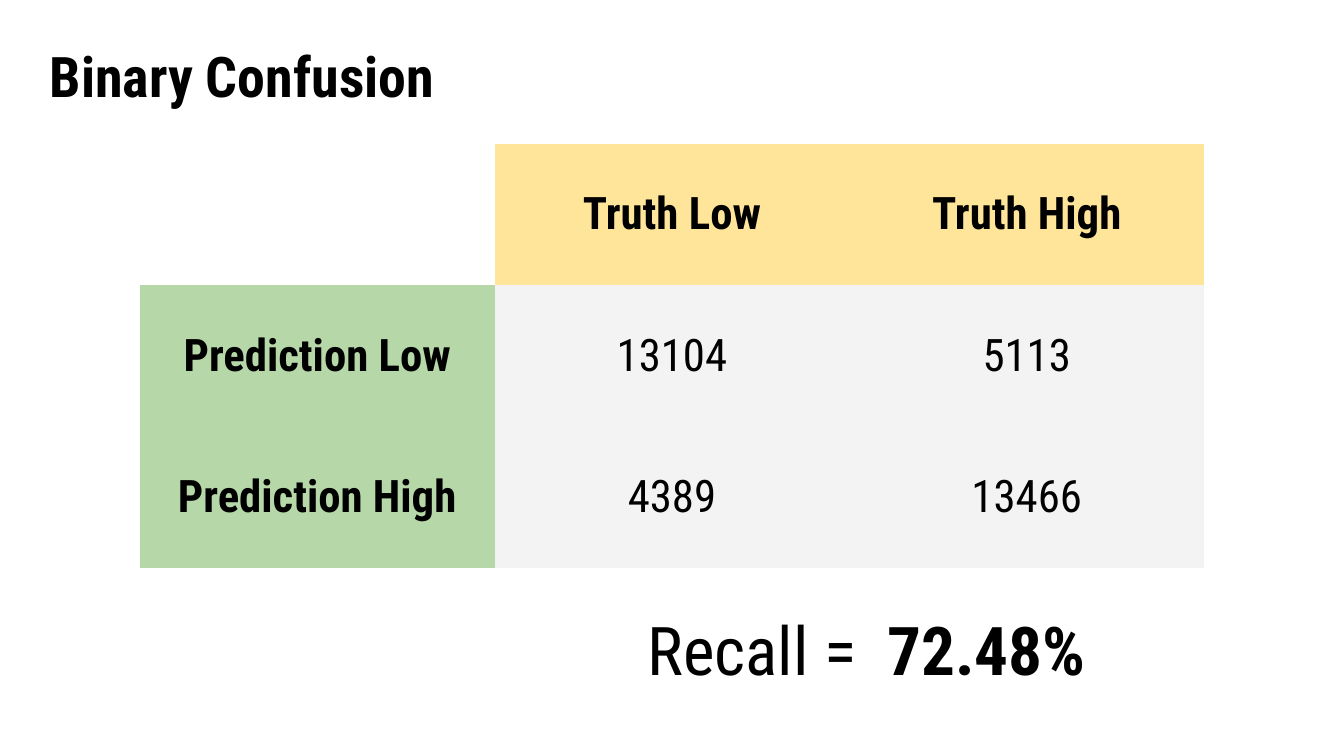
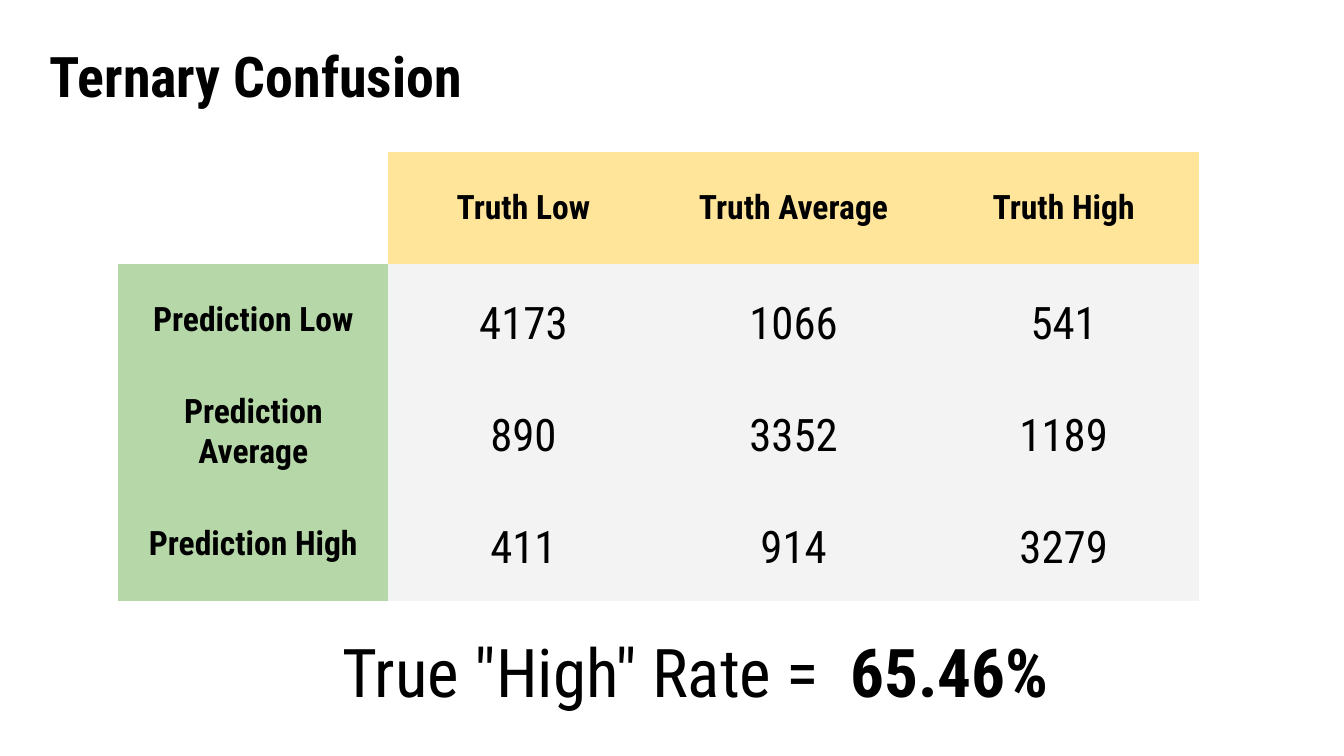
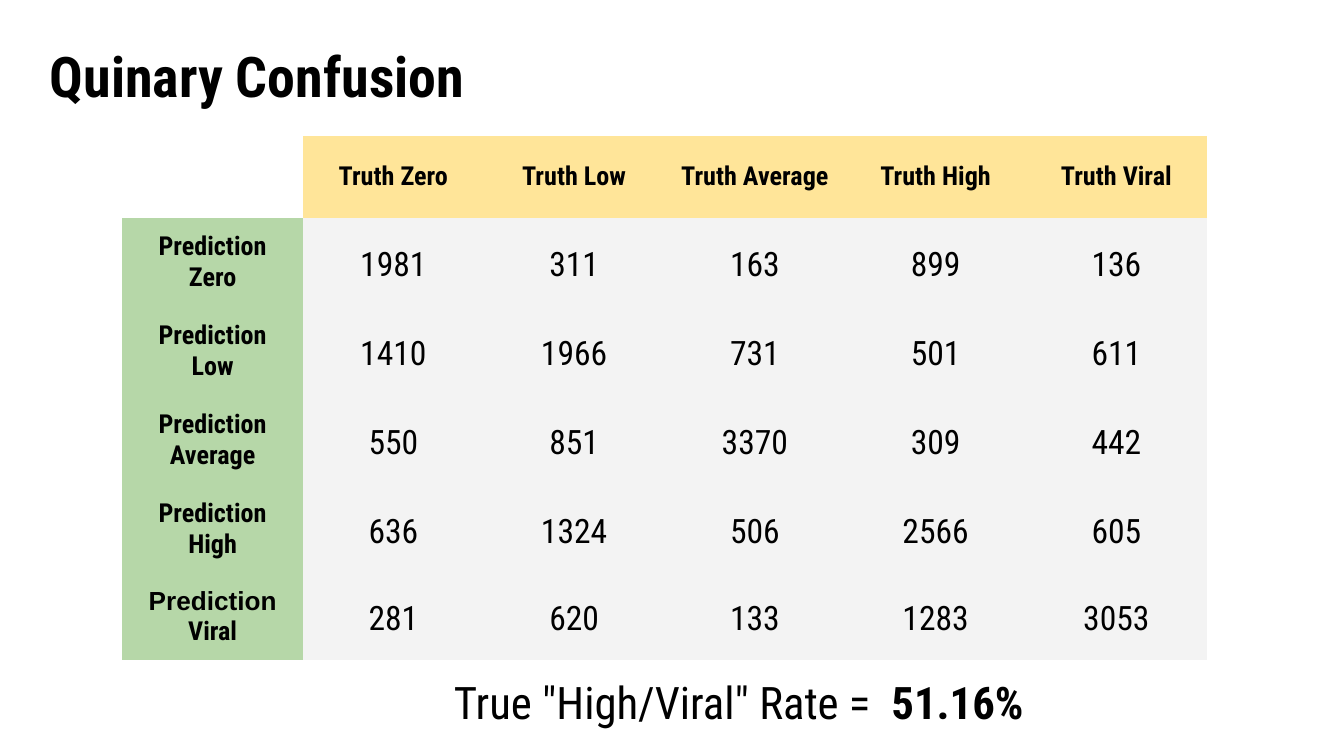
from pptx import Presentation
from pptx.dml.color import RGBColor
from pptx.enum.text import MSO_ANCHOR, MSO_AUTO_SIZE, PP_ALIGN
from pptx.oxml.ns import qn
from pptx.util import Inches, Pt

BLACK = RGBColor(0x00, 0x00, 0x00)
WHITE = RGBColor(0xFF, 0xFF, 0xFF)
TRUTH_YELLOW = RGBColor(0xFF, 0xE5, 0x99)
PREDICTION_GREEN = RGBColor(0xB6, 0xD7, 0xA8)
COUNT_GRAY = RGBColor(0xF3, 0xF3, 0xF3)

FONT = "Roboto Condensed"
FALLBACK_FONT = "Arial"
PLAIN_TABLE_STYLE = "{2D5ABB26-0587-4C30-8999-92F81FD0307C}"
TITLE_ONLY = 5
WIDE_MARGINS = (0.1, 0.1)
TIGHT_MARGINS = (0.03, 0.02)


def set_margins(target, margins):
    """Set the side and top/bottom margins of a cell or text frame."""
    side, edge = (Inches(length) for length in margins)
    target.margin_left = target.margin_right = side
    target.margin_top = target.margin_bottom = edge


def write(para, spans, size):
    """Fill a paragraph from (text, bold, font) spans."""
    para.text = spans[0][0]
    for text, _, _ in spans[1:]:
        para.add_run().text = text
    for run, (_, bold, font) in zip(para.runs, spans):
        run.font.name = font
        run.font.size = Pt(size)
        run.font.bold = bold
        run.font.color.rgb = BLACK


class ConfusionDeck:
    def __init__(self):
        self.deck = Presentation()
        self.deck.slide_width = Inches(10)
        self.deck.slide_height = Inches(10 * 9 / 16)
        self.page = None

    def add_page(self, title, title_width):
        self.page = self.deck.slides.add_slide(self.deck.slide_layouts[TITLE_ONLY])
        self.page.background.fill.solid()
        self.page.background.fill.fore_color.rgb = WHITE
        box = self.page.shapes.title
        box.left, box.top = Inches(0.27), Inches(0.21)
        box.width, box.height = Inches(title_width), Inches(0.66)
        self.fill_frame(box.text_frame, [(title, True, FONT)], 30)

    def fill_frame(self, frame, spans, size):
        frame.word_wrap = True
        frame.auto_size = MSO_AUTO_SIZE.NONE
        frame.vertical_anchor = MSO_ANCHOR.TOP
        set_margins(frame, WIDE_MARGINS)
        para = frame.paragraphs[0]
        para.alignment = PP_ALIGN.LEFT
        write(para, spans, size)

    def add_result(self, label, rate, place, size):
        box = self.page.shapes.add_textbox(*(Inches(length) for length in place))
        spans = [(label, False, FONT), (rate, True, FONT)]
        self.fill_frame(box.text_frame, spans, size)

    def fill_cell(self, cell, spans, size, color, margins=WIDE_MARGINS, spacing=1.0):
        cell.fill.solid()
        cell.fill.fore_color.rgb = color
        cell.vertical_anchor = MSO_ANCHOR.MIDDLE
        set_margins(cell, margins)
        para = cell.text_frame.paragraphs[0]
        para.alignment = PP_ALIGN.CENTER
        para.line_spacing = spacing
        write(para, spans, size)

    def add_matrix(self, levels, counts, place, label_size, count_size,
                   count_margins=TIGHT_MARGINS, count_spacing=1.15):
        """Add a table of predicted rows against true columns."""
        side = len(levels) + 1
        frame = self.page.shapes.add_table(
            side, side, *(Inches(length) for length in place))
        next(frame.element.iter(qn("a:tableStyleId"))).text = PLAIN_TABLE_STYLE
        table = frame.table
        table.first_row = table.horz_banding = False
        table.cell(0, 0).fill.background()
        for index, level in enumerate(levels, start=1):
            self.fill_cell(table.cell(0, index), [(f"Truth {level}", True, FONT)],
                           label_size, TRUTH_YELLOW)
            if level == "Viral":
                spans = [("Prediction ", True, FALLBACK_FONT), (level, True, FONT)]
            else:
                spans = [(f"Prediction {level}", True, FONT)]
            self.fill_cell(table.cell(index, 0), spans, label_size, PREDICTION_GREEN)
        for row, values in enumerate(counts, start=1):
            for column, value in enumerate(values, start=1):
                self.fill_cell(table.cell(row, column), [(str(value), False, FONT)],
                               count_size, COUNT_GRAY, count_margins, count_spacing)


def main():
    show = ConfusionDeck()

    show.add_page("Binary Confusion", 3.42)
    show.add_matrix(
        ["Low", "High"],
        [[13104, 5113],
         [4389, 13466]],
        (1.04, 1.07, 7.92, 3.16), label_size=24, count_size=24,
        count_margins=WIDE_MARGINS, count_spacing=1.0)
    show.add_result("Recall =  ", "72.48%", (4.72, 4.43, 4.08, 0.6), 36)

    show.add_page("Ternary Confusion", 3.73)
    show.add_matrix(
        ["Low", "Average", "High"],
        [[4173, 1066, 541],
         [890, 3352, 1189],
         [411, 914, 3279]],
        (0.88, 1.13, 8.04, 3.34), label_size=18, count_size=24)
    show.add_result('True "High" Rate =  ', "65.46%", (2.45, 4.59, 5.77, 0.6), 36)

    show.add_page("Quinary Confusion", 4.27)
    show.add_matrix(
        ["Zero", "Low", "Average", "High", "Viral"],
        [[1981, 311, 163, 899, 136],
         [1410, 1966, 731, 501, 611],
         [550, 851, 3370, 309, 442],
         [636, 1324, 506, 2566, 605],
         [281, 620, 133, 1283, 3053]],
        (0.91, 1.01, 8.07, 3.68), label_size=14, count_size=18)
    show.add_result('True "High/Viral" Rate =  ', "51.16%", (3.28, 4.92, 4.66, 0.58), 24)

    show.deck.save("out.pptx")


if __name__ == "__main__":
    main()
